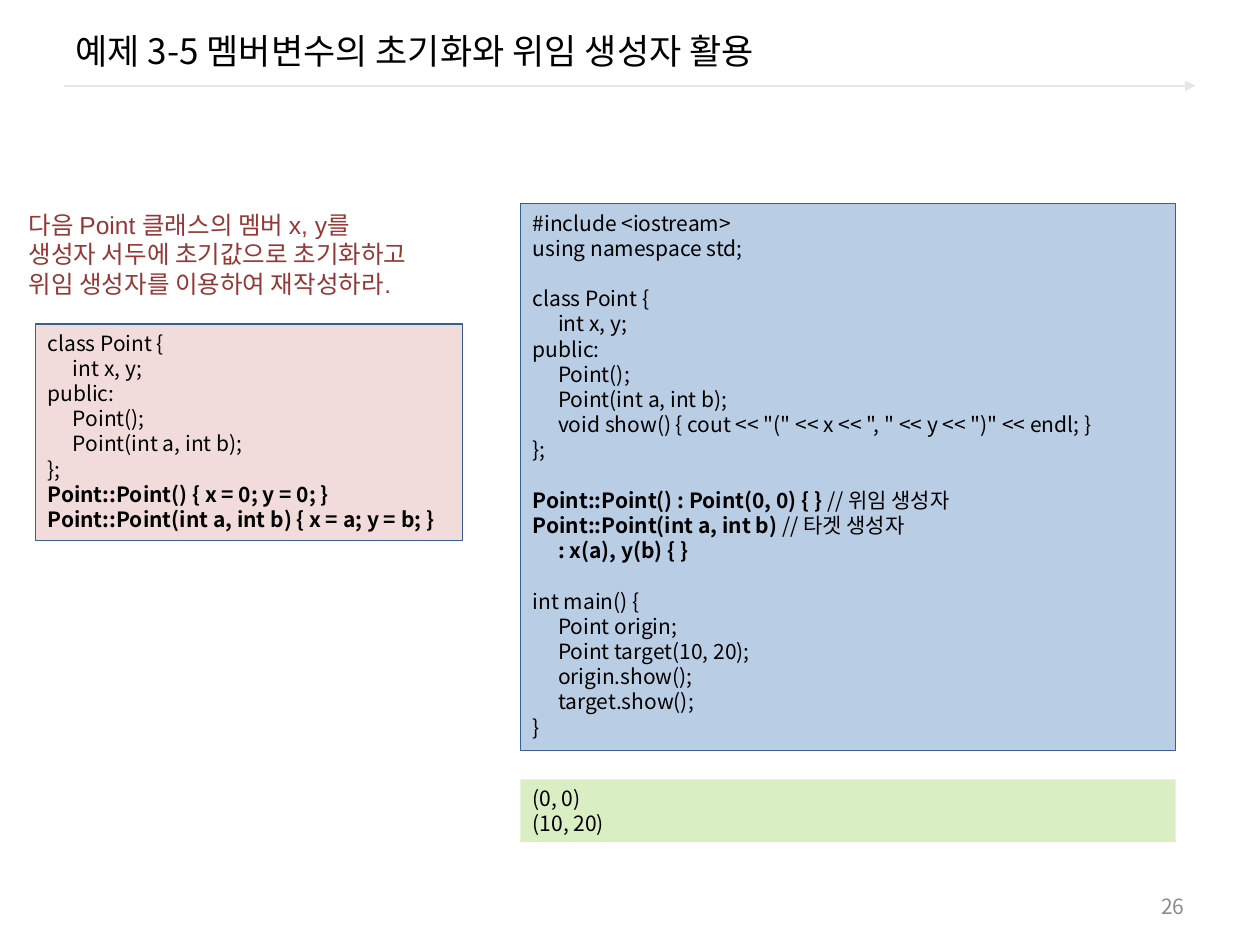
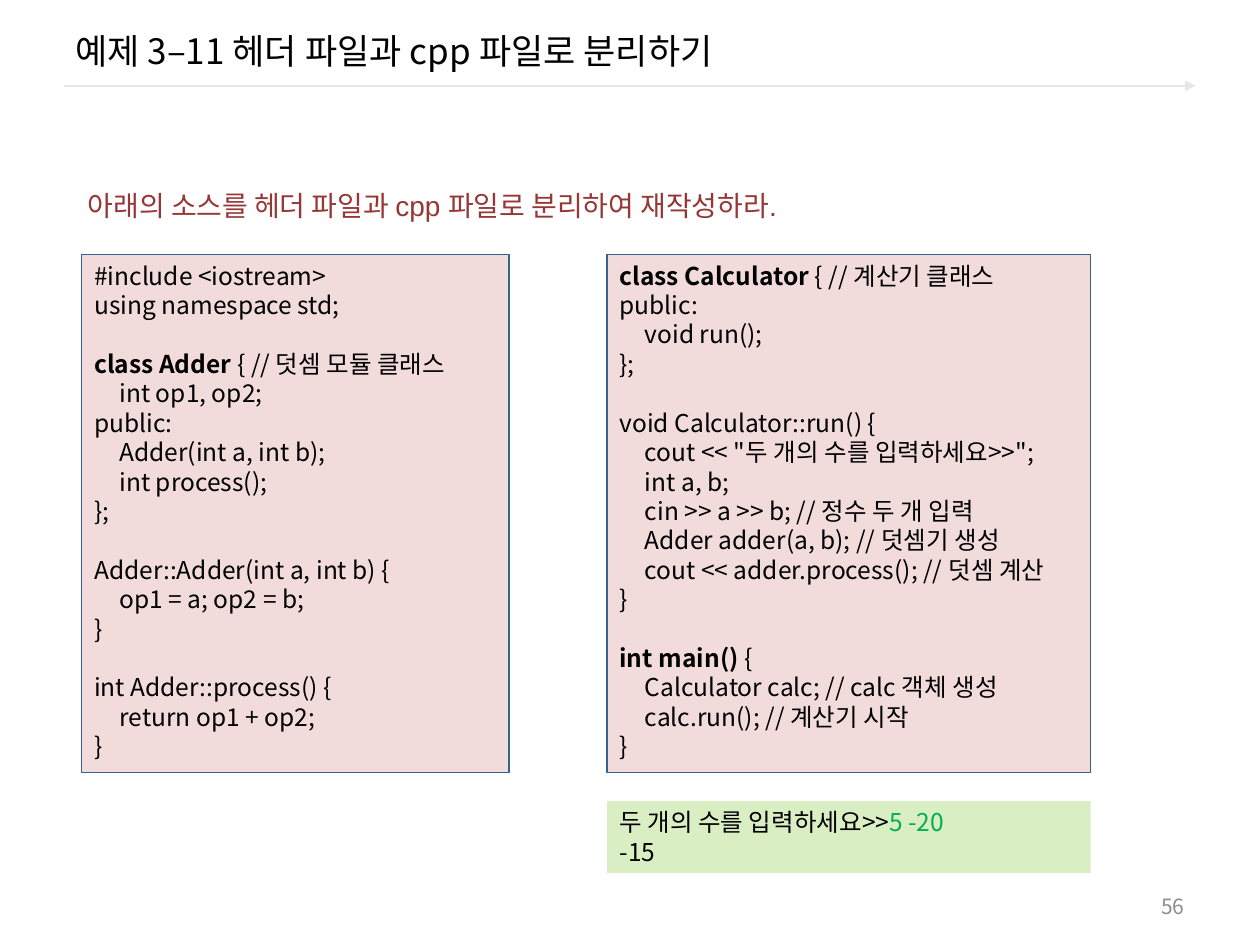
from dataclasses import dataclass
from pptx import Presentation
from pptx.dml.color import RGBColor
from pptx.enum.shapes import MSO_CONNECTOR, MSO_SHAPE
from pptx.enum.text import MSO_ANCHOR, PP_ALIGN
from pptx.oxml.ns import qn
from pptx.util import Cm, Pt
from lxml.etree import SubElement


@dataclass(frozen=True)
class Theme:
    # Colours
    ink: str = "000000"
    rule: str = "E6E6E6"
    page: str = "8C8C8C"
    task: str = "953735"
    pink: str = "F2DCDB"
    blue: str = "B9CDE5"
    lime: str = "DAEEC4"
    edge: str = "376092"
    input: str = "00B050"
    # Type
    font: str = "Noto Sans CJK KR"
    plain: str = "Arial"
    title: int = 20
    small: int = 12
    mid: int = 14
    large: int = 16
    pitch: float = 1.2
    # Spacing in cm
    tab: float = 0.51
    gap: float = 0.58


@dataclass(frozen=True)
class Box:
    x: float
    y: float
    w: float
    h: float

    def sub(self, x, y, w, h):
        return Box(self.x + x, self.y + y, w, h)

    def cm(self):
        return [Cm(v) for v in (self.x, self.y, self.w, self.h)]


T = Theme()
PAGE = Box(0, 0, 25.4, 19.05)
STRONG = {"bold": True}
TYPED = {"rgb": T.input}


def rgb(code):
    return RGBColor.from_string(code)


def apply(item, values):
    for name, value in values.items():
        setattr(item, name, value)


def add_run(para, text, size, color, font, mark):
    run = para.add_run()
    run.text = text
    apply(run.font, {"name": font, "size": Pt(size), "bold": mark.get("bold", False)})
    run.font.color.rgb = rgb(mark.get("rgb", color))
    east = SubElement(run.font._element, qn("a:ea"))
    east.set("typeface", T.font)


def set_tab(para):
    stops = SubElement(para._p.get_or_add_pPr(), qn("a:tabLst"))
    apply_to = SubElement(stops, qn("a:tab"))
    apply_to.set("pos", str(Cm(T.tab)))
    apply_to.set("algn", "l")


def write(shape, text, size, color=T.ink, font=T.font, mark=STRONG,
          anchor=MSO_ANCHOR.TOP, align=PP_ALIGN.LEFT):
    """Fill a shape; parts between asterisks get the mark, empty lines become space."""
    frame = shape.text_frame
    apply(frame, {"word_wrap": True, "vertical_anchor": anchor})
    pitch = Pt(size * T.pitch)
    para, space = frame.paragraphs[0], 0
    for i, line in enumerate(text.strip("\n").split("\n")):
        if not line:
            space += pitch
            continue
        if i:
            para = frame.add_paragraph()
        if line.startswith(("\t", "*\t")):
            set_tab(para)
        apply(para, {"alignment": align, "line_spacing": pitch, "space_before": space})
        space = 0
        for n, part in enumerate(line.split("*")):
            if part:
                add_run(para, part, size, color, font, mark if n % 2 else {})


def label(slide, box, text, size, **look):
    write(slide.shapes.add_textbox(*box.cm()), text, size, **look)


def panel(slide, box, text, size, fill, edge=T.edge, mark=STRONG):
    shape = slide.shapes.add_shape(MSO_SHAPE.RECTANGLE, *box.cm())
    shape.shadow.inherit = False
    shape.fill.solid()
    shape.fill.fore_color.rgb = rgb(fill)
    if edge:
        shape.line.color.rgb = rgb(edge)
        shape.line.width = Pt(0.75)
    else:
        shape.line.fill.background()
    write(shape, text, size, mark=mark)


def frame(slide, box, title, number):
    # Title
    label(slide, box.sub(1.27, 0.2, 22.86, 1.63), title, T.title,
          anchor=MSO_ANCHOR.MIDDLE)
    # Arrow rule, with equal side margins
    side, top = 1.3, box.y + 1.73
    ends = (box.x + side, top, box.x + box.w - side, top)
    rule = slide.shapes.add_connector(MSO_CONNECTOR.STRAIGHT, *map(Cm, ends))
    rule.line.color.rgb = rgb(T.rule)
    rule.line.width = Pt(1.5)
    SubElement(rule.line._get_or_add_ln(), qn("a:tailEnd")).set("type", "triangle")
    SubElement(rule._element.spPr, qn("a:effectLst"))
    # Page number
    label(slide, box.sub(18.21, 17.86, 5.92, 0.81), number, T.small,
          color=T.page, anchor=MSO_ANCHOR.MIDDLE, align=PP_ALIGN.RIGHT)


def result(slide, code, tall, text, size):
    """Output strip below a code panel."""
    box = code.sub(0, code.h + T.gap, code.w, tall)
    panel(slide, box, text, size, T.lime, edge=None, mark=TYPED)


def point(slide, box):
    # Task and given class
    label(slide, box.sub(0, 0, 9, 2.06), TASK_POINT, T.mid, color=T.task, font=T.plain)
    panel(slide, box.sub(0.38, 2.42, 8.61, 4.37), POINT, T.small, T.pink)
    # Answer and its output
    code = box.sub(10.16, 0, box.w - 10.16, 11.02)
    panel(slide, code, ANSWER, T.small, T.blue)
    result(slide, code, 1.27, "(0, 0)\n(10, 20)", T.small)


def adder(slide, box):
    # Task
    label(slide, box.sub(0, 0, 16.1, 0.94), TASK_ADDER, T.large,
          color=T.task, font=T.plain)
    # Both halves of the source, and the output
    left = box.sub(0.13, 1.45, 8.61, 10.44)
    right = box.sub(10.72, 1.45, box.w - 10.72, left.h)
    for part, text in ((left, ADDER), (right, CALC)):
        panel(slide, part, text, T.mid, T.pink)
    result(slide, right, 1.45, "두 개의 수를 입력하세요>>*5 -20*\n-15", T.mid)


TASK_POINT = """
다음 Point 클래스의 멤버 x, y를
생성자 서두에 초기값으로 초기화하고
위임 생성자를 이용하여 재작성하라."""

POINT = """
class Point {
\tint x, y;
public:
\tPoint();
\tPoint(int a, int b);
};
*Point::Point() { x = 0; y = 0; }*
*Point::Point(int a, int b) { x = a; y = b; }*"""

ANSWER = """
#include <iostream>
using namespace std;

class Point {
\tint x, y;
public:
\tPoint();
\tPoint(int a, int b);
\tvoid show() { cout << "(" << x << ", " << y << ")" << endl; }
};

*Point::Point() : Point(0, 0) { } *// 위임 생성자
*Point::Point(int a, int b) *// 타겟 생성자
*\t: x(a), y(b) { }*

int main() {
\tPoint origin;
\tPoint target(10, 20);
\torigin.show();
\ttarget.show();
}"""

TASK_ADDER = "아래의 소스를 헤더 파일과 cpp 파일로 분리하여 재작성하라."

ADDER = """
#include <iostream>
using namespace std;

*class Adder *{ // 덧셈 모듈 클래스
\tint op1, op2;
public:
\tAdder(int a, int b);
\tint process();
};

Adder::Adder(int a, int b) {
\top1 = a; op2 = b;
}

int Adder::process() {
\treturn op1 + op2;
}"""

CALC = """
*class Calculator *{ // 계산기 클래스
public:
\tvoid run();
};

void Calculator::run() {
\tcout << "두 개의 수를 입력하세요>>";
\tint a, b;
\tcin >> a >> b; // 정수 두 개 입력
\tAdder adder(a, b); // 덧셈기 생성
\tcout << adder.process(); // 덧셈 계산
}

*int main() *{
\tCalculator calc; // calc 객체 생성
\tcalc.run(); // 계산기 시작
}"""

SLIDES = (
    ("예제 3-5 멤버변수의 초기화와 위임 생성자 활용", "26",
     point, Box(0.33, 4.11, 23.37, 12.88)),
    ("예제 3–11 헤더 파일과 cpp 파일로 분리하기", "56",
     adder, Box(1.52, 3.68, 20.47, 13.92)),
)


def main():
    deck = Presentation()
    apply(deck, {"slide_width": Cm(PAGE.w), "slide_height": Cm(PAGE.h)})
    for title, number, body, box in SLIDES:
        slide = deck.slides.add_slide(deck.slide_layouts[6])
        frame(slide, PAGE, title, number)
        body(slide, box)
    deck.save("out.pptx")


if __name__ == "__main__":
    main()
